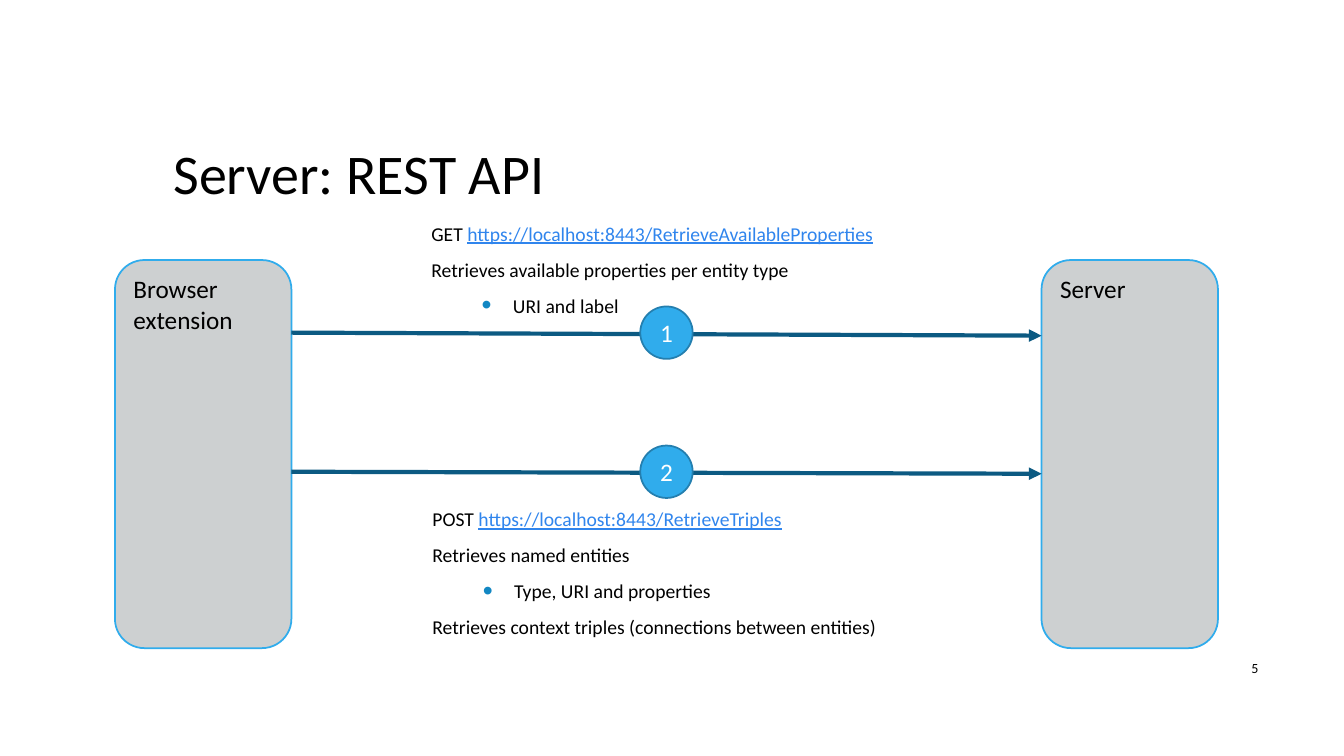
from dataclasses import dataclass

from lxml.etree import SubElement
from pptx import Presentation
from pptx.dml.color import RGBColor
from pptx.enum.shapes import MSO_CONNECTOR, MSO_SHAPE
from pptx.enum.text import MSO_ANCHOR, MSO_AUTO_SIZE, PP_ALIGN
from pptx.oxml.ns import qn
from pptx.slide import Slide
from pptx.text.text import TextFrame, _Paragraph
from pptx.util import Inches, Pt

BLACK = RGBColor(0x00, 0x00, 0x00)
WHITE = RGBColor(0xFF, 0xFF, 0xFF)
GREY = RGBColor(0xCD, 0xD0, 0xD1)
SKY = RGBColor(0x30, 0xAC, 0xEC)
SKY_EDGE = RGBColor(0x24, 0x7F, 0xAF)
NAVY = RGBColor(0x0C, 0x5A, 0x82)
LINK = RGBColor(0x30, 0x85, 0xED)
BULLET_COLOR = "1287C3"

FONT = "Calibri"
BOX_TOP, BOX_WIDTH, BOX_HEIGHT = 2.58, 1.75, 3.85
CLIENT_LEFT, SERVER_LEFT = 1.14, 10.33
CIRCLE = 0.52


@dataclass(frozen=True)
class Box:
    left: float
    top: float
    width: float
    height: float

    def lengths(self) -> tuple:
        return tuple(Inches(v) for v in (self.left, self.top, self.width, self.height))


@dataclass(frozen=True)
class Line:
    text: str
    bullet: bool = False


@dataclass(frozen=True)
class Request:
    number: str
    start_y: float
    end_y: float
    circle_top: float
    box: Box
    method: str
    url: str
    details: tuple[Line, ...]


REQUESTS = (
    Request("1", 3.3, 3.33, 3.04, Box(4.18, 2.15, 4.86, 1.09),
            "GET ", "https://localhost:8443/RetrieveAvailableProperties",
            (Line("Retrieves available properties per entity type"),
             Line("URI and label", bullet=True))),
    Request("2", 4.68, 4.7, 4.42, Box(4.19, 4.98, 5.35, 1.45),
            "POST ", "https://localhost:8443/RetrieveTriples",
            (Line("Retrieves named entities"),
             Line("Type, URI and properties", bullet=True),
             Line("Retrieves context triples (connections between entities)"))),
)


def add_run(p: _Paragraph, text: str, size: float, color: RGBColor = BLACK,
            underline: bool = False) -> None:
    r = p.add_run()
    r.text = text
    formats = {"name": FONT, "size": Pt(size), "underline": underline}
    for name, value in formats.items():
        setattr(r.font, name, value)
    r.font.color.rgb = color


def format_frame(tf: TextFrame, anchor: MSO_ANCHOR) -> None:
    formats = {"word_wrap": True, "auto_size": MSO_AUTO_SIZE.NONE,
               "vertical_anchor": anchor}
    for name, value in formats.items():
        setattr(tf, name, value)


def fill_text(tf: TextFrame, text: str, size: float, color: RGBColor = BLACK,
              align: PP_ALIGN = PP_ALIGN.LEFT,
              anchor: MSO_ANCHOR = MSO_ANCHOR.MIDDLE) -> None:
    format_frame(tf, anchor)
    p = tf.paragraphs[0]
    p.alignment = align
    add_run(p, text, size, color)


def add_bullet(p: _Paragraph) -> None:
    pPr = p._p.get_or_add_pPr()
    pPr.set("marL", str(Inches(0.81)))
    pPr.set("indent", str(Inches(-0.31)))
    color = SubElement(pPr, qn("a:buClr"))
    SubElement(color, qn("a:srgbClr"), val=BULLET_COLOR)
    SubElement(pPr, qn("a:buSzPct"), val="145000")
    SubElement(pPr, qn("a:buFont"), typeface="Arial")
    SubElement(pPr, qn("a:buChar"), char="•")


def add_shape(s: Slide, kind: MSO_SHAPE, box: Box, fill: RGBColor,
              edge: RGBColor) -> TextFrame:
    """Draw a filled, outlined shape and return its text frame."""
    sp = s.shapes.add_shape(kind, *box.lengths())
    sp.shadow.inherit = False
    sp.fill.solid()
    sp.fill.fore_color.rgb = fill
    sp.line.color.rgb = edge
    sp.line.width = Pt(1.25)
    return sp.text_frame


def add_party(s: Slide, left: float, name: str) -> None:
    """Draw one of the two communicating programs."""
    box = Box(left, BOX_TOP, BOX_WIDTH, BOX_HEIGHT)
    tf = add_shape(s, MSO_SHAPE.ROUNDED_RECTANGLE, box, GREY, SKY)
    fill_text(tf, name, 18, anchor=MSO_ANCHOR.TOP)


def add_arrow(s: Slide, start_y: float, end_y: float) -> None:
    line = s.shapes.add_connector(
        MSO_CONNECTOR.STRAIGHT, Inches(CLIENT_LEFT + BOX_WIDTH), Inches(start_y),
        Inches(SERVER_LEFT), Inches(end_y))
    line.line.color.rgb = NAVY
    line.line.width = Pt(3)
    SubElement(line.line._get_or_add_ln(), qn("a:tailEnd"), type="triangle")
    SubElement(line._element.spPr, qn("a:effectLst"))


def add_description(s: Slide, request: Request) -> None:
    tf = s.shapes.add_textbox(*request.box.lengths()).text_frame
    format_frame(tf, MSO_ANCHOR.TOP)
    p = tf.paragraphs[0]
    add_run(p, request.method, 14)
    add_run(p, request.url, 14, LINK, underline=True)
    for line in request.details:
        p = tf.add_paragraph()
        add_run(p, line.text, 14)
        if line.bullet:
            p.level = 1
    for p in tf.paragraphs:
        p.space_before, p.space_after = Pt(2.8), Pt(6)
        if p.level:
            add_bullet(p)


def add_number(s: Slide, request: Request) -> None:
    left = (CLIENT_LEFT + SERVER_LEFT + BOX_WIDTH - CIRCLE) / 2
    box = Box(left, request.circle_top, CIRCLE, CIRCLE)
    tf = add_shape(s, MSO_SHAPE.OVAL, box, SKY, SKY_EDGE)
    fill_text(tf, request.number, 18, WHITE, PP_ALIGN.CENTER)


def main() -> None:
    prs = Presentation()
    prs.slide_width, prs.slide_height = Inches(13.33), Inches(7.5)
    s = prs.slides.add_slide(prs.slide_layouts[5])

    title = s.shapes.title
    title.left, title.top, title.width, title.height = Box(1.62, 0.75, 10.96, 1.92).lengths()
    fill_text(title.text_frame, "Server: REST API", 40)

    add_party(s, SERVER_LEFT, "Server")
    add_party(s, CLIENT_LEFT, "Browser extension")
    for request in REQUESTS:
        add_description(s, request)
        add_arrow(s, request.start_y, request.end_y)
        add_number(s, request)

    page = s.shapes.add_textbox(*Box(11.98, 6.43, 0.6, 0.4).lengths())
    fill_text(page.text_frame, "5", 10, align=PP_ALIGN.RIGHT)
    prs.save("out.pptx")


if __name__ == "__main__":
    main()
